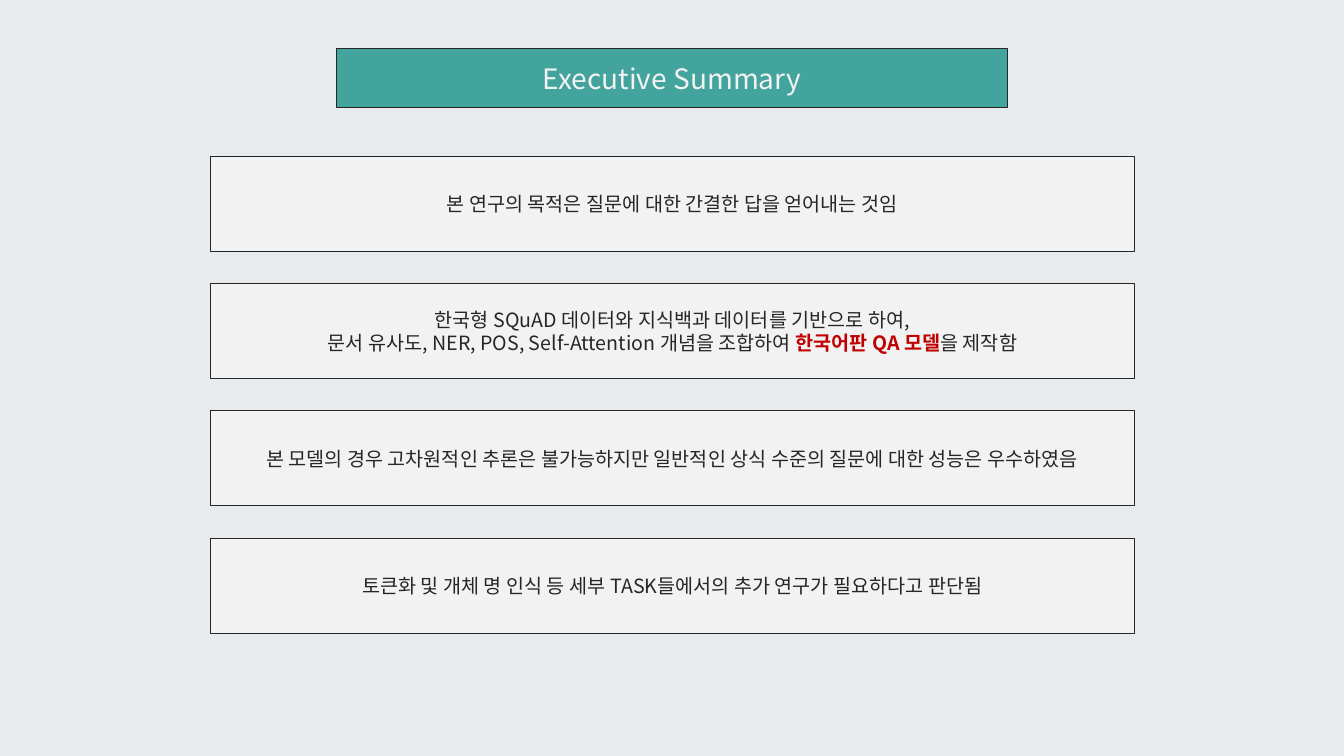
from lxml.etree import SubElement
from pptx import Presentation
from pptx.dml.color import RGBColor
from pptx.enum.shapes import MSO_SHAPE
from pptx.enum.text import MSO_ANCHOR, PP_ALIGN
from pptx.oxml.ns import qn
from pptx.util import Inches, Pt

FONT = "Noto Sans CJK KR"
COLORS = {
    "background": "E7EBEE",
    "title": "43A49D",
    "panel": "F2F2F2",
    "ink": "262626",
    "accent": "C00000",
}
STATEMENTS = [
    [["본 연구의 목적은 질문에 대한 간결한 답을 얻어내는 것임"]],
    [
        ["한국형 SQuAD 데이터와 지식백과 데이터를 기반으로 하여,"],
        [
            "문서 유사도, NER, POS, Self-Attention 개념을 조합하여 ",
            ("한국어판 QA 모델", {"color": "accent", "bold": True}),
            "을 제작함",
        ],
    ],
    [["본 모델의 경우 고차원적인 추론은 불가능하지만 일반적인 상식 수준의 질문에 대한 성능은 우수하였음"]],
    [["토큰화 및 개체 명 인식 등 세부 TASK들에서의 추가 연구가 필요하다고 판단됨"]],
]


def rgb(name):
    return RGBColor.from_string(COLORS[name])


def add_text(p, text, size=14, color="ink", bold=False):
    r = p.add_run()
    r.text = text
    r.font.size = Pt(size)
    r.font.name = FONT
    r.font.bold = bold
    r.font.color.rgb = rgb(color)
    SubElement(r.font._element, qn("a:ea"), typeface=FONT)


def add_panel(s, box, paragraphs, fill="panel", **text_format):
    sp = s.shapes.add_shape(MSO_SHAPE.RECTANGLE, *(Inches(v) for v in box))
    sp.shadow.inherit = False
    sp.fill.solid()
    sp.fill.fore_color.rgb = rgb(fill)
    sp.line.color.rgb = rgb("ink")
    sp.line.width = Pt(0.5)
    tf = sp.text_frame
    tf.word_wrap = True
    tf.vertical_anchor = MSO_ANCHOR.MIDDLE
    for i, runs in enumerate(paragraphs):
        p = tf.add_paragraph() if i else tf.paragraphs[0]
        p.alignment = PP_ALIGN.CENTER
        for run in runs:
            text, extra = (run, {}) if isinstance(run, str) else run
            add_text(p, text, **{**text_format, **extra})


def add_title(s, box):
    add_panel(s, box, [["Executive Summary"]], fill="title", size=20, color="panel")


def add_statements(s, box, gap):
    left, top, width, height = box
    panel_height = (height - gap * (len(STATEMENTS) - 1)) / len(STATEMENTS)
    for i, paragraphs in enumerate(STATEMENTS):
        y = top + i * (panel_height + gap)
        add_panel(s, (left, y, width, panel_height), paragraphs)


def main():
    prs = Presentation()
    prs.slide_width, prs.slide_height = Inches(13.33), Inches(7.5)
    s = prs.slides.add_slide(prs.slide_layouts[6])
    s.background.fill.solid()
    s.background.fill.fore_color.rgb = rgb("background")
    add_title(s, (3.34, 0.48, 6.65, 0.59))
    add_statements(s, (2.09, 1.55, 9.16, 4.73), gap=0.32)
    prs.save("out.pptx")


if __name__ == "__main__":
    main()
